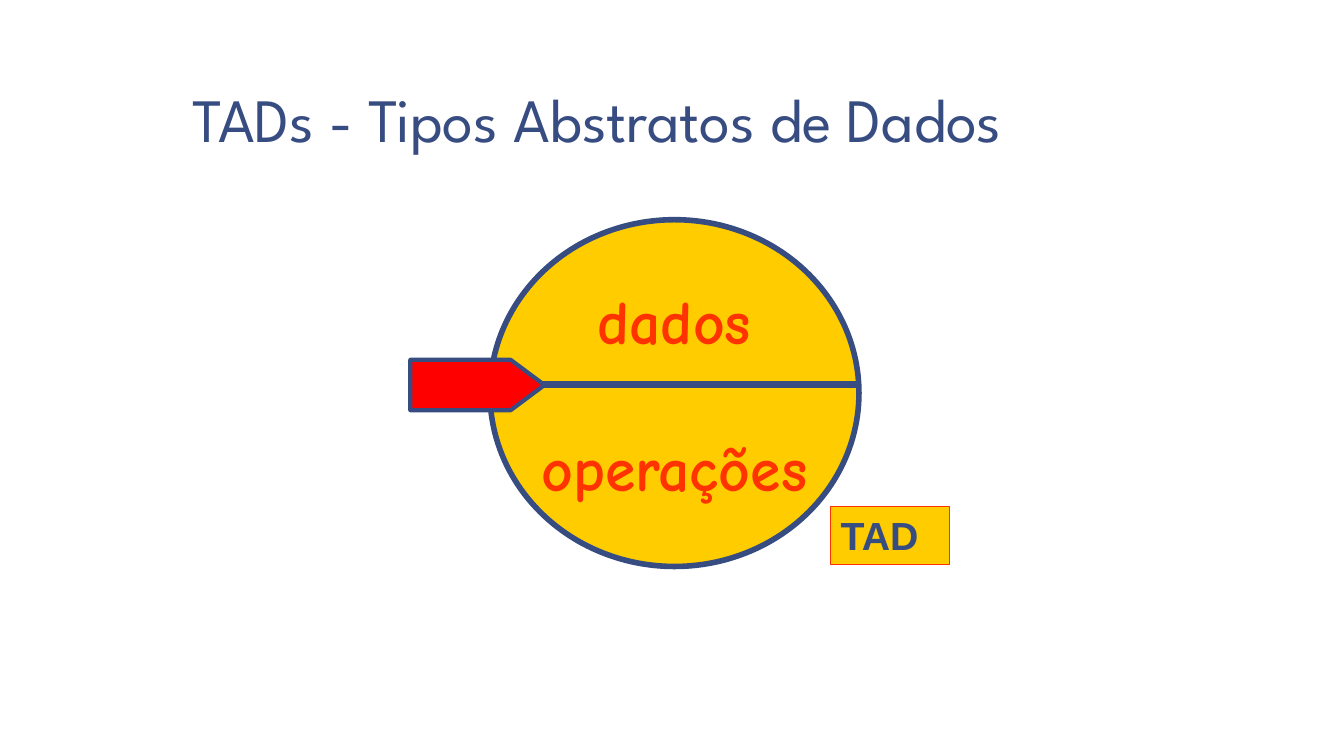
from pptx import Presentation
from pptx.dml.color import RGBColor
from pptx.enum.shapes import MSO_CONNECTOR, MSO_SHAPE
from pptx.enum.text import MSO_ANCHOR, PP_ALIGN
from pptx.oxml.ns import qn
from pptx.util import Pt
from lxml import etree

STRAIGHT = MSO_CONNECTOR.STRAIGHT
ELLIPSE, PENTAGON, RECTANGLE = MSO_SHAPE.OVAL, MSO_SHAPE.PENTAGON, MSO_SHAPE.RECTANGLE
TOP, MIDDLE, BOTTOM = MSO_ANCHOR.TOP, MSO_ANCHOR.MIDDLE, MSO_ANCHOR.BOTTOM
LEFT, CENTER = PP_ALIGN.LEFT, PP_ALIGN.CENTER

EMU_PER_PX = 9144
NAVY, GOLD, ORANGE, RED = "374C81", "FFCC00", "FF3300", "FF0000"


def px(length):
    return length * EMU_PER_PX


def color(value):
    return RGBColor.from_string(value)


class Diagram:
    """Draws styled elements on one slide, measured in px of 1/100 inch."""

    def __init__(self, slide):
        self.shapes = slide.shapes

    def label(self, shape, lines, font, size, ink, bold=False, align=LEFT,
              anchor=TOP, wrap=True, gap=0, spacing=1.0, insets=(10, 5)):
        frame = shape.text_frame
        frame.word_wrap = wrap
        frame.vertical_anchor = anchor
        frame.margin_left = frame.margin_right = px(insets[0])
        frame.margin_top = frame.margin_bottom = px(insets[1])
        for index, line in enumerate(lines):
            paragraph = frame.add_paragraph() if index else frame.paragraphs[0]
            paragraph.text = line
            paragraph.alignment = align
            paragraph.line_spacing = spacing
            paragraph.space_before = Pt(gap if index else 0)
            paragraph.font.name = font
            paragraph.font.size = Pt(size)
            paragraph.font.bold = bold
            paragraph.font.color.rgb = color(ink)

    def text(self, box, lines, **style):
        self.label(self.shapes.add_textbox(*map(px, box)), lines, **style)

    def shape(self, kind, box, fill, outline, width):
        shape = self.shapes.add_shape(kind, *map(px, box))
        shape.shadow.inherit = False
        shape.fill.solid()
        shape.fill.fore_color.rgb = color(fill)
        shape.line.color.rgb = color(outline)
        shape.line.width = Pt(width)
        return shape

    def line(self, start, end, ink, width):
        connector = self.shapes.add_connector(STRAIGHT, *map(px, start + end))
        connector.line.color.rgb = color(ink)
        connector.line.width = Pt(width)
        etree.SubElement(connector._element.spPr, qn("a:effectLst"))


def main():
    presentation = Presentation()
    presentation.slide_width, presentation.slide_height = px(1333), px(750)
    diagram = Diagram(presentation.slides.add_slide(presentation.slide_layouts[6]))

    diagram.text((178, 8, 984, 153), ["TADs - Tipos Abstratos de Dados"],
                 font="League Spartan", size=44, ink=NAVY, anchor=BOTTOM,
                 spacing=0.85, insets=(13, 7))

    circle = diagram.shape(ELLIPSE, (486, 218, 366, 344), GOLD, NAVY, 4)
    diagram.label(circle, ["dados", "operações"], font="Comic Neue", size=44,
                  ink=ORANGE, bold=True, align=CENTER, anchor=MIDDLE,
                  wrap=False, gap=52)
    diagram.line((490, 381), (852, 381), NAVY, 5)
    arrow = diagram.shape(PENTAGON, (407, 357, 133, 50), RED, NAVY, 3)
    arrow.adjustments[0] = 0.67

    tag = diagram.shape(RECTANGLE, (824, 502, 118, 58), GOLD, ORANGE, 0.75)
    diagram.label(tag, ["TAD"], font="Arial", size=28, ink=NAVY, bold=True)

    presentation.save("out.pptx")


if __name__ == "__main__":
    main()
